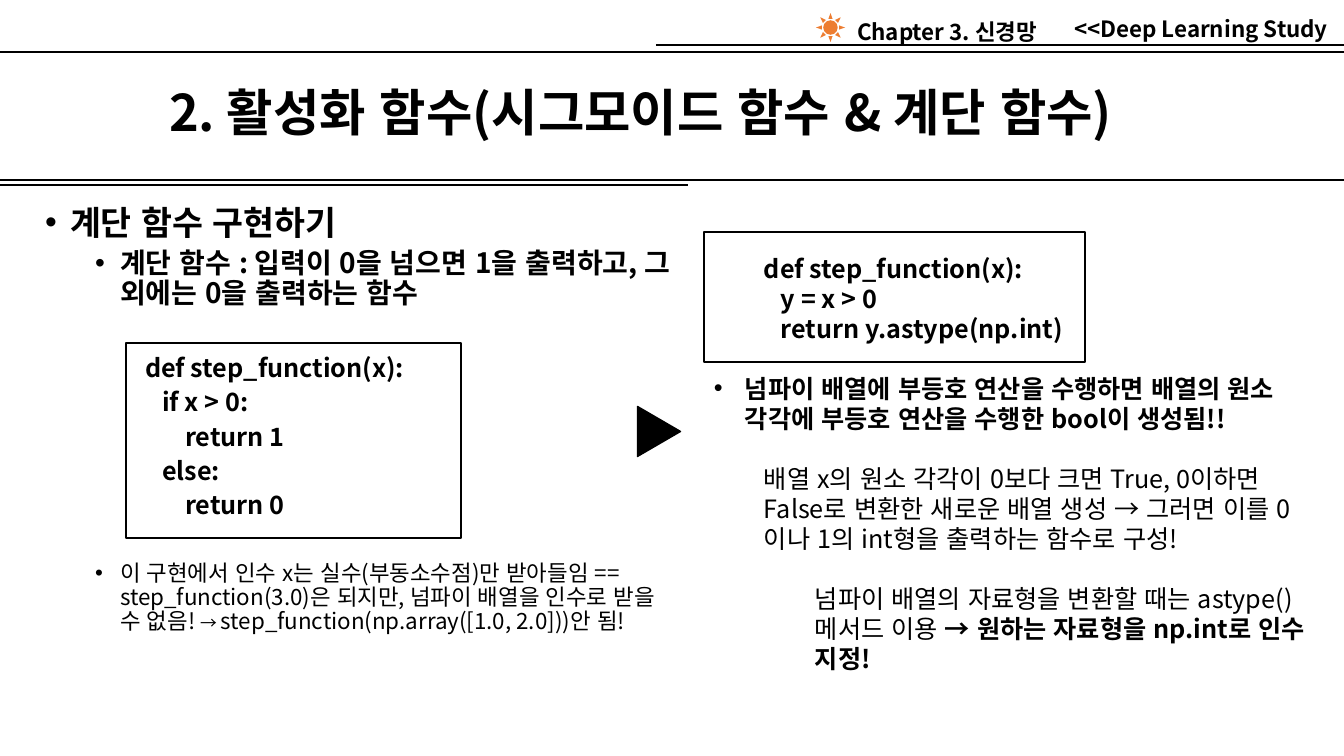
from pptx import Presentation
from pptx.dml.color import RGBColor
from pptx.enum.lang import MSO_LANGUAGE_ID
from pptx.enum.shapes import MSO_CONNECTOR, MSO_SHAPE
from pptx.enum.text import MSO_ANCHOR, MSO_AUTO_SIZE, PP_ALIGN
from pptx.oxml.ns import qn
from pptx.util import Pt
from lxml import etree

LEFT, CENTER, RIGHT = PP_ALIGN.LEFT, PP_ALIGN.CENTER, PP_ALIGN.RIGHT
TOP, MIDDLE = MSO_ANCHOR.TOP, MSO_ANCHOR.MIDDLE
RECT, TRIANGLE, SUN = MSO_SHAPE.RECTANGLE, MSO_SHAPE.ISOSCELES_TRIANGLE, MSO_SHAPE.SUN
KOREAN = MSO_LANGUAGE_ID.KOREAN

# Content
FONT = "Noto Sans CJK KR"
COLORS = {"ink": "000000", "sun": "ED7D31"}
TITLE = "2. 활성화 함수(시그모이드 함수 & 계단 함수)"
CHAPTER = "Chapter 3. 신경망"
COURSE = "<<Deep Learning Study"

# Each paragraph: list of (text, size, bold) runs, then its format
STEP = [
    ([("계단 함수 구현하기", 24, True)], dict(left=76, hang=25)),
    ([("계단 함수 : 입력이 0을 넘으면 1을 출력하고, 그 외에는 0을 출력하는 함수", 20, True)],
     dict(level=1, left=126, hang=25)),
    ([("def step_function(x):", 18, True)], dict(level=2, left=151, before=33)),
    ([("if x > 0:", 18, True)], dict(level=2, left=168)),
    ([("return 1", 18, True)], dict(level=2, left=191)),
    ([("else:", 18, True)], dict(level=2, left=168)),
    ([("return 0", 18, True)], dict(level=2, left=191)),
    ([("이 구현에서 인수 x는 실수(부동소수점)만 받아들임 == step_function(3.0)은 되지만, "
       "넘파이 배열을 인수로 받을 수 없음! ", 16, False),
      ("→ ", 12, False),
      ("step_function(np.array([1.0, 2.0]))안 됨!", 16, False)],
     dict(level=1, left=126, hang=25, before=30)),
]
NUMPY = [
    ([("def step_function(x):", 18, True)], dict(level=1, left=50)),
    ([("y = x > 0", 18, True)], dict(level=1, left=67)),
    ([("return y.astype(np.int)", 18, True)], dict(level=1, left=67)),
    ([("넘파이 배열에 부등호 연산을 수행하면 배열의 원소 각각에 부등호 연산을 수행한 "
       "bool이 생성됨!!", 18, True)], dict(left=31, hang=31, before=21)),
    ([("배열 x의 원소 각각이 0보다 크면 True, 0이하면 False로 변환한 새로운 배열 생성 → "
       "그러면 이를 0이나 1의 int형을 출력하는 함수로 구성!", 18, False)],
     dict(level=1, left=50, before=21)),
    ([("넘파이 배열의 자료형을 변환할 때는 astype() 메서드 이용 ", 18, False),
      ("→ 원하는 자료형을 np.int로 인수 지정!", 18, True)],
     dict(level=2, left=101, before=21)),
]

# Geometry in px: (x1, x2, y) for rules, (x, y, w, h) for boxes
RULES = [(0, 1344, 180), (0, 688, 185), (0, 1344, 52), (656, 1344, 45)]
SHAPES = [
    (RECT, (126, 343, 335, 195), None, "ink", 0),
    (RECT, (704, 232, 381, 130), None, "ink", 0),
    (TRIANGLE, (634, 410, 50, 43), "ink", "ink", 90),
    (SUN, (816, 13, 29, 29), "sun", None, 0),
]


def px(n):
    return round(n * 914400 / 100.8)


def color(name):
    return RGBColor.from_string(COLORS[name])


def write(p, runs, align=LEFT, level=0, left=0, hang=0, before=0, spacing=1.0):
    p.alignment, p.level = align, level
    p.line_spacing, p.space_before, p.space_after = spacing, Pt(before), Pt(0)
    pPr = p._p.get_or_add_pPr()
    pPr.set("marL", str(px(left)))
    pPr.set("indent", str(-px(hang)))
    if hang:
        etree.SubElement(pPr, qn("a:buFont")).set("typeface", "Arial")
        etree.SubElement(pPr, qn("a:buChar")).set("char", "•")
    else:
        etree.SubElement(pPr, qn("a:buNone"))
    for text, size, bold in runs:
        r = p.add_run()
        r.text = text
        f = r.font
        f.name, f.size, f.bold, f.language_id = FONT, Pt(size), bold, KOREAN
        f.color.rgb = color("ink")
        latin = r._r.rPr.find(qn("a:latin"))
        ea = etree.Element(qn("a:ea"), typeface=FONT)
        latin.addnext(ea)


def fill_box(sp, box, paragraphs, anchor=TOP, **common):
    sp.left, sp.top, sp.width, sp.height = map(px, box)
    tf = sp.text_frame
    tf.word_wrap, tf.auto_size, tf.vertical_anchor = True, MSO_AUTO_SIZE.NONE, anchor
    for i, (runs, fmt) in enumerate(paragraphs):
        p = tf.add_paragraph() if i else tf.paragraphs[0]
        write(p, runs, **{**common, **fmt})


prs = Presentation()
prs.slide_width, prs.slide_height = px(1344), px(756)
s = prs.slides.add_slide(prs.slide_layouts[1])

# Header and title rules
for x1, x2, y in RULES:
    rule = s.shapes.add_connector(MSO_CONNECTOR.STRAIGHT, px(x1), px(y), px(x2), px(y))
    rule.line.color.rgb, rule.line.width = color("ink"), Pt(1.25)
    etree.SubElement(rule._element.spPr, qn("a:effectLst"))

# Title and step function list
fill_box(s.shapes.title, (159, 70, 1119, 90), [([(TITLE, 36, True)], {})],
         anchor=MIDDLE, spacing=0.9)
fill_box(s.placeholders[1], (-16, 201, 697, 532), STEP, spacing=0.9, before=5)

# Header texts and NumPy column
for box, paragraphs, anchor, align in [
    ((661, 9, 677, 40), [([(COURSE, 16, True)], {})], MIDDLE, RIGHT),
    ((762, 13, 370, 37), [([(CHAPTER, 16, True)], {})], TOP, CENTER),
    ((704, 248, 617, 437), NUMPY, TOP, LEFT),
]:
    fill_box(s.shapes.add_textbox(0, 0, 0, 0), box, paragraphs, anchor, align=align)

# Code frames, arrow and sun
for kind, box, fill, line, turn in SHAPES:
    sp = s.shapes.add_shape(kind, *map(px, box))
    sp.shadow.inherit = False
    sp.rotation = turn
    if fill:
        sp.fill.solid()
        sp.fill.fore_color.rgb = color(fill)
    else:
        sp.fill.background()
    if line:
        sp.line.color.rgb, sp.line.width = color(line), Pt(1)
    else:
        sp.line.fill.background()

prs.save("out.pptx")
